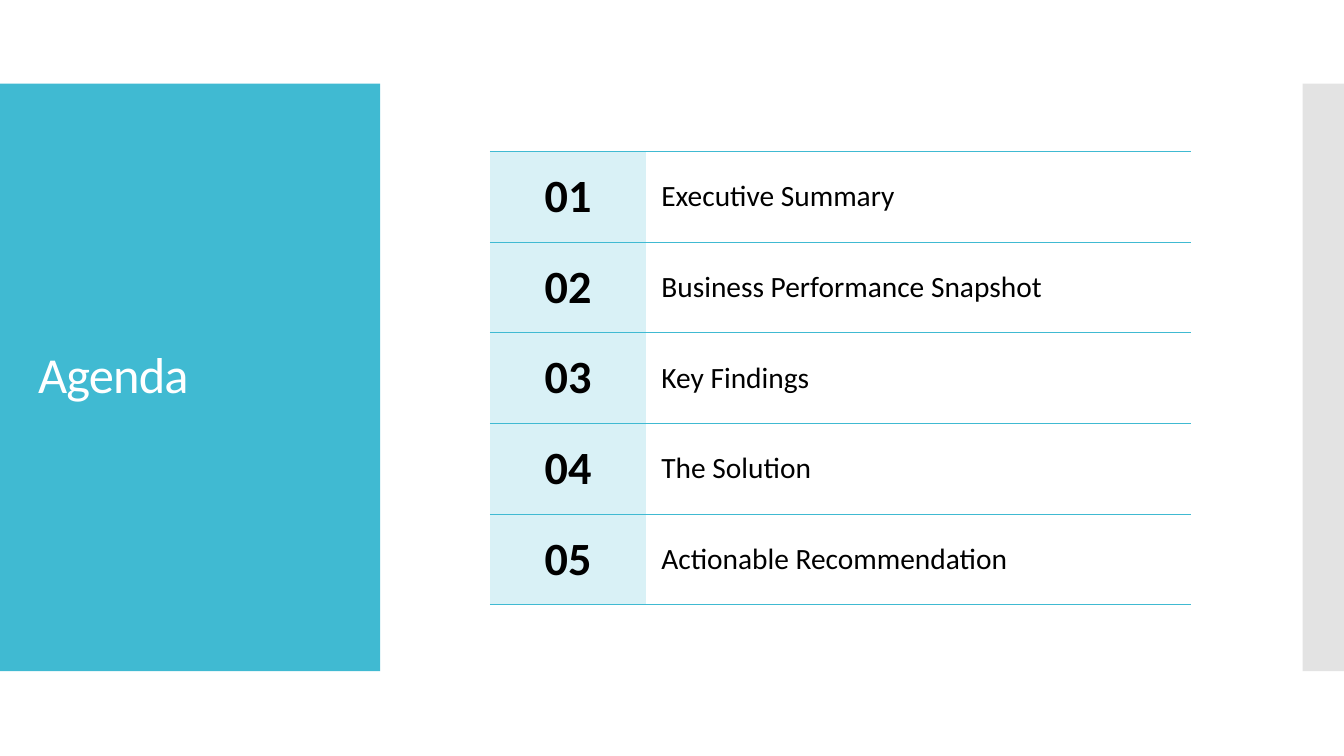
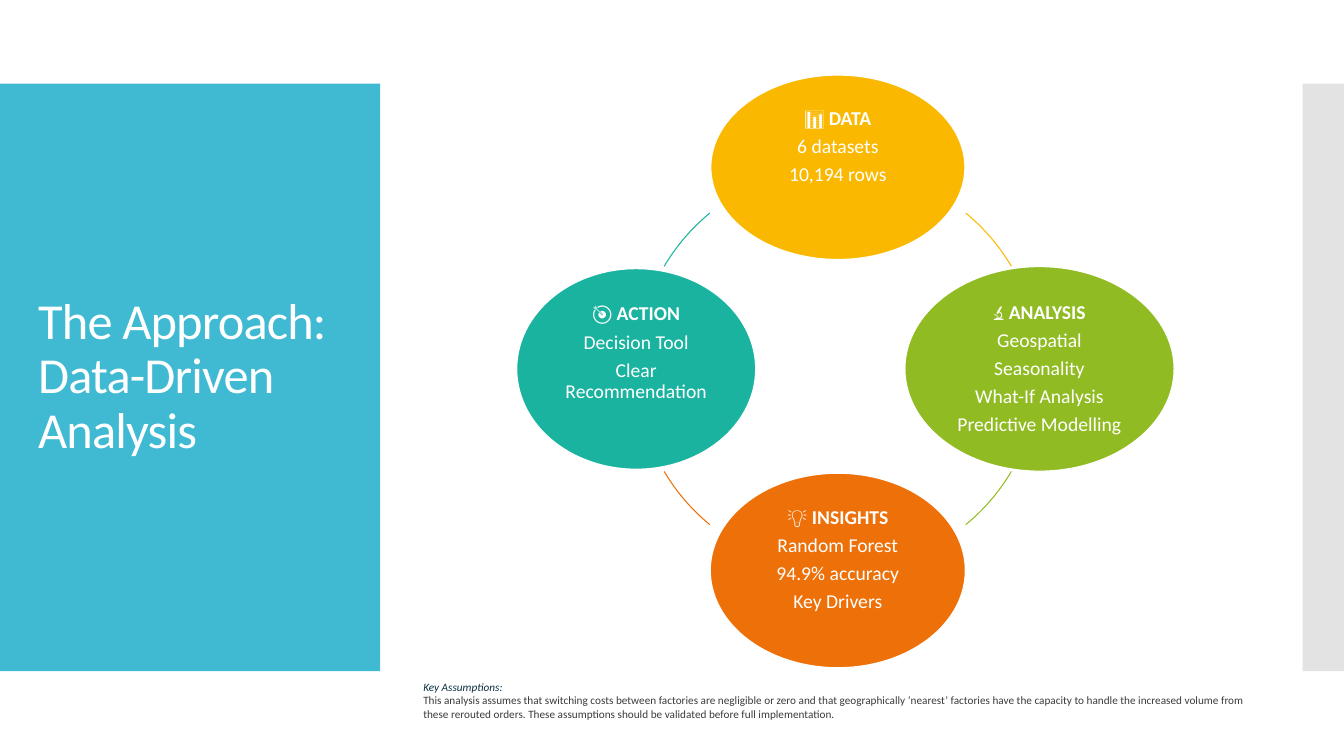
from collections import namedtuple
from math import cos, radians, sin

from lxml.etree import SubElement
from pptx import Presentation
from pptx.dml.color import RGBColor
from pptx.enum.shapes import MSO_SHAPE
from pptx.enum.text import MSO_ANCHOR, PP_ALIGN
from pptx.oxml.ns import qn
from pptx.util import Inches, Pt

FONT = "Calibri"
COLORS = {
    "teal": "40BAD2", "pale_teal": "D9F1F6", "side": "C8C8C8",
    "white": "FFFFFF", "black": "000000", "navy": "0A2F40", "charcoal": "3B3B3B",
    "yellow": "FAB900", "green": "90BB23", "orange": "EE7008", "jade": "1AB39F",
}
RING_X, RING_Y, RING_RADIUS = 8.31, 3.66, 2.0
ARC_SWEEP = 20

Stage = namedtuple("Stage", "icon name lines color angle width height arc_offset")

AGENDA = ["Executive Summary", "Business Performance Snapshot", "Key Findings",
          "The Solution", "Actionable Recommendation"]
STAGES = [
    Stage("📊", "DATA", ["6 datasets", "10,194 rows"],
          "yellow", 270, 2.52, 1.83, 39.4),
    Stage("🔬", "ANALYSIS",
          ["Geospatial", "Seasonality", "What-If Analysis", "Predictive Modelling"],
          "green", 0, 2.67, 2.03, 30.6),
    Stage("💡", "INSIGHTS", ["Random Forest", "94.9% accuracy", "Key Drivers"],
          "orange", 90, 2.53, 1.93, 39.4),
    Stage("🎯", "ACTION", ["Decision Tool", "Clear Recommendation"],
          "jade", 180, 2.37, 1.99, 30.6),
]
ASSUMPTIONS = (
    "This analysis assumes that switching costs between factories are negligible or zero "
    "and that geographically ‘nearest’ factories have the capacity to handle the increased "
    "volume from these rerouted orders. These assumptions should be validated before full "
    "implementation."
)


def rgb(color):
    """Return the named colour."""
    return RGBColor.from_string(COLORS[color])


def style_runs(paragraph, size, color, bold=False, italic=False):
    """Format every run of a paragraph."""
    for run in paragraph.runs:
        run.font.name = FONT
        run.font.size = Pt(size)
        run.font.bold = bold
        run.font.italic = italic
        run.font.color.rgb = rgb(color)


def set_margins(holder, margin):
    """Give a text frame or cell the same margin on all sides."""
    holder.margin_left = holder.margin_right = Inches(margin)
    holder.margin_top = holder.margin_bottom = Inches(margin)


def add_preset(slide, kind, left, top, width, height):
    """Add a preset shape without a shadow."""
    shape = slide.shapes.add_shape(
        kind, Inches(left), Inches(top), Inches(width), Inches(height))
    shape.shadow.inherit = False
    return shape


def add_text_box(slide, left, top, width, height):
    """Add a wrapping text box and return its frame."""
    frame = slide.shapes.add_textbox(
        Inches(left), Inches(top), Inches(width), Inches(height)).text_frame
    frame.word_wrap = True
    return frame


def add_band(slide, left, width, color, opacity=100):
    """Add a vertical colour band."""
    band = add_preset(slide, MSO_SHAPE.RECTANGLE, left, 0.83, width, 5.83)
    band.fill.solid()
    band.fill.fore_color.rgb = rgb(color)
    band.line.fill.background()
    if opacity < 100:
        fill_color = band.fill._xPr.find(f".//{qn('a:srgbClr')}")
        SubElement(fill_color, qn("a:alpha"), val=str(opacity * 1000))


def add_titled_slide(deck, title):
    """Add a slide with the shared bands and title."""
    slide = deck.slides.add_slide(deck.slide_layouts[6])
    add_band(slide, 0, 3.77, "teal")
    add_band(slide, 12.92, 0.41, "side", opacity=50)
    frame = add_text_box(slide, 0.28, 1.23, 3.22, 5.03)
    frame.vertical_anchor = MSO_ANCHOR.MIDDLE
    frame.text = title
    heading = frame.paragraphs[0]
    heading.line_spacing = 0.9
    style_runs(heading, 36, "white")
    for run in heading.runs:
        run.font._element.set("spc", "-60")
    return slide


def rule_cell(cell):
    """Draw rules above and below a cell only."""
    properties = cell._tc.get_or_add_tcPr()
    for side in ("lnL", "lnR"):
        SubElement(SubElement(properties, qn(f"a:{side}")), qn("a:noFill"))
    for side in ("lnT", "lnB"):
        rule = SubElement(properties, qn(f"a:{side}"), w=str(Pt(0.5)))
        fill = SubElement(rule, qn("a:solidFill"))
        SubElement(fill, qn("a:srgbClr"), val=COLORS["teal"])


def fill_cell(cell, text, size, bold=False, align=PP_ALIGN.LEFT, color=None):
    """Write and format one agenda cell."""
    rule_cell(cell)
    if color:
        cell.fill.solid()
        cell.fill.fore_color.rgb = rgb(color)
    else:
        cell.fill.background()
    set_margins(cell, 0.15)
    cell.vertical_anchor = MSO_ANCHOR.MIDDLE
    cell.text = text
    paragraph = cell.text_frame.paragraphs[0]
    paragraph.alignment = align
    style_runs(paragraph, size, "black", bold)


def add_agenda(slide, topics):
    """Add the numbered agenda table."""
    row_height = 0.9
    agenda = slide.shapes.add_table(
        len(topics), 2, Inches(4.86), Inches(1.5),
        Inches(6.95), Inches(row_height * len(topics))).table
    agenda.first_row = agenda.horz_banding = False
    for column, width in zip(agenda.columns, (1.55, 5.4)):
        column.width = Inches(width)
    for index, topic in enumerate(topics):
        agenda.rows[index].height = Inches(row_height)
        fill_cell(agenda.cell(index, 0), f"{index + 1:02}", 33, True,
                  PP_ALIGN.CENTER, "pale_teal")
        fill_cell(agenda.cell(index, 1), topic, 21)


def add_stage(slide, stage):
    """Add one ellipse of the cycle with its text."""
    center_x = RING_X + RING_RADIUS * cos(radians(stage.angle))
    center_y = RING_Y + RING_RADIUS * sin(radians(stage.angle))
    ellipse = add_preset(
        slide, MSO_SHAPE.OVAL, center_x - stage.width / 2,
        center_y - stage.height / 2, stage.width, stage.height)
    ellipse.fill.solid()
    ellipse.fill.fore_color.rgb = rgb(stage.color)
    ellipse.line.color.rgb = rgb("white")
    ellipse.line.width = Pt(0.85)
    frame = ellipse.text_frame
    frame.word_wrap = True
    frame.vertical_anchor = MSO_ANCHOR.TOP
    set_margins(frame, 0.06)
    frame.text = "\n".join([f"{stage.icon} ", *stage.lines])
    name = frame.paragraphs[0].add_run()
    name.text = stage.name
    for paragraph in frame.paragraphs:
        paragraph.alignment = PP_ALIGN.CENTER
        paragraph.line_spacing = 0.9
        paragraph.space_after = Pt(4.9)
        style_runs(paragraph, 14, "white")
    name.font.bold = True


def add_arc(slide, stage):
    """Add the arc that leads from a stage to the next one."""
    arc = add_preset(
        slide, MSO_SHAPE.ARC, RING_X - RING_RADIUS, RING_Y - RING_RADIUS,
        2 * RING_RADIUS, 2 * RING_RADIUS)
    start = stage.angle + stage.arc_offset
    for index, angle in enumerate((start, start + ARC_SWEEP)):
        arc.adjustments[index] = angle % 360 * 0.6
    arc.fill.background()
    arc.line.color.rgb = rgb(stage.color)
    arc.line.width = Pt(0.75)


def add_assumptions(slide):
    """Add the small print below the cycle."""
    frame = add_text_box(slide, 4.1, 6.7, 8.56, 0.5)
    frame.text = f"Key Assumptions:\n{ASSUMPTIONS}"
    label, statement = frame.paragraphs
    style_runs(label, 8, "navy", italic=True)
    style_runs(statement, 8, "charcoal")


def main():
    """Build and save the deck."""
    deck = Presentation()
    deck.slide_width, deck.slide_height = Inches(13.33), Inches(7.5)

    add_agenda(add_titled_slide(deck, "Agenda"), AGENDA)

    approach = add_titled_slide(deck, "The Approach: Data-Driven Analysis")
    for stage in STAGES:
        add_stage(approach, stage)
        add_arc(approach, stage)
    add_assumptions(approach)

    deck.save("out.pptx")


if __name__ == "__main__":
    main()
